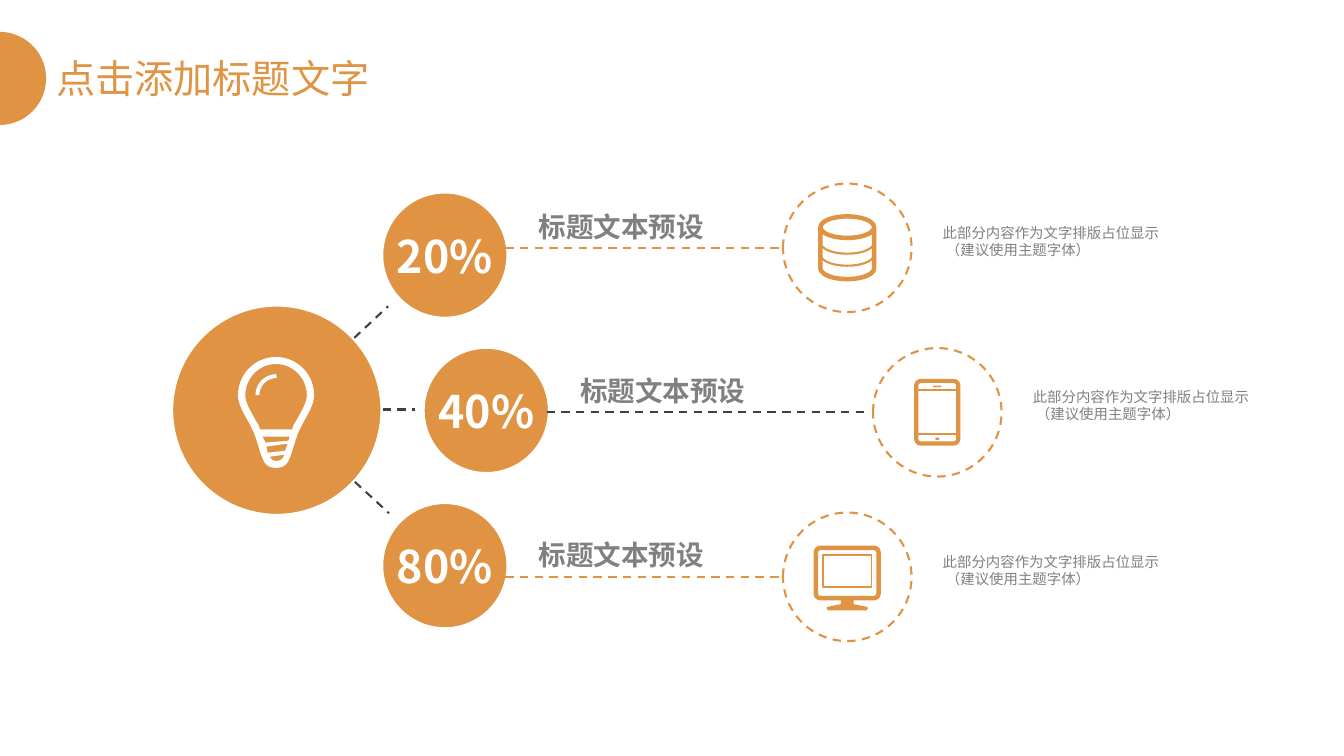
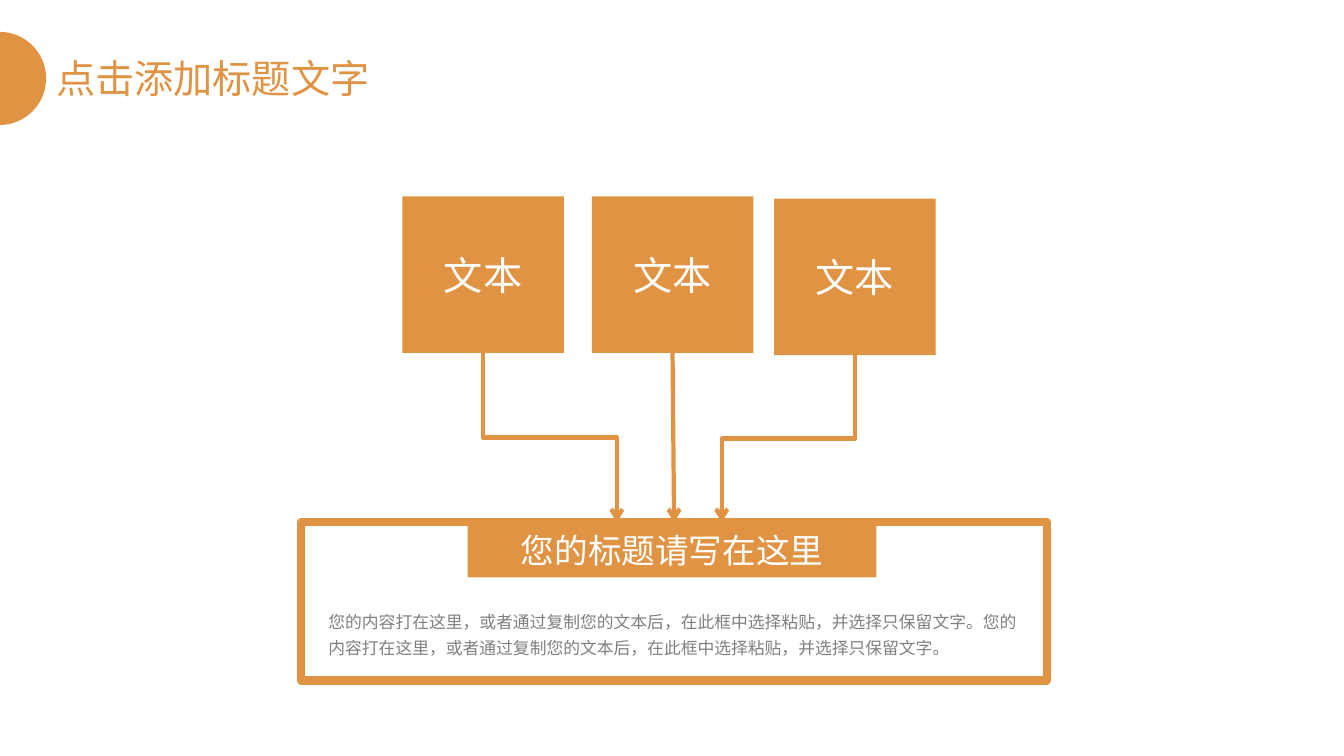
from pptx import Presentation
from pptx import util as u
from pptx.dml.color import RGBColor
from pptx.enum import dml, shapes, text
from pptx.oxml.ns import qn
from lxml import etree

FONT = "Noto Sans CJK SC"
COLORS = {"orange": "DF9343", "dark": "404040", "gray": "808080", "white": "FFFFFF"}
KIND = shapes.MSO_SHAPE
LINK = shapes.MSO_CONNECTOR
ALIGN = text.PP_ALIGN
ANCHOR = text.MSO_ANCHOR
DASH = dml.MSO_LINE.DASH


def rgb(name):
    return RGBColor.from_string(COLORS[name])


def paint(shape, fill=None, line=None, width=1.5, dash=None):
    shape.shadow.inherit = False
    if fill:
        shape.fill.solid()
        shape.fill.fore_color.rgb = rgb(fill)
    else:
        shape.fill.background()
    if line:
        stroke(shape.line, line, width, dash)
    else:
        shape.line.fill.background()


def stroke(line, color, width, dash=None):
    line.color.rgb = rgb(color)
    line.width = u.Pt(width)
    if dash:
        line.dash_style = dash


def draw(slide, kind, x, y, w, h, **style):
    shape = slide.shapes.add_shape(kind, u.Pt(x), u.Pt(y), u.Pt(w), u.Pt(h))
    paint(shape, **style)
    return shape


def write(shape, words, size, color, bold=False, align=ALIGN.LEFT,
          anchor=ANCHOR.TOP, inset=(7.2, 3.6, 7.2, 3.6), wrap=True, space=None):
    frame = shape.text_frame
    frame.text = words
    frame.auto_size = text.MSO_AUTO_SIZE.NONE
    frame.word_wrap = wrap
    frame.vertical_anchor = anchor
    (frame.margin_left, frame.margin_top,
     frame.margin_right, frame.margin_bottom) = map(u.Pt, inset)
    para = frame.paragraphs[0]
    para.alignment = align
    if space:
        para.line_spacing = space
    for run in para.runs:
        font = run.font
        font.size, font.bold, font.name = u.Pt(size), bold, FONT
        font.color.rgb = rgb(color)
        etree.SubElement(font._element, qn("a:ea"), typeface=FONT)


def label(slide, x, y, w, h, words, size, color, **style):
    box = slide.shapes.add_textbox(u.Pt(x), u.Pt(y), u.Pt(w), u.Pt(h))
    write(box, words, size, color, **style)


def join(slide, start, end, color, width=1.5, dash=None, arrow=False,
         kind=LINK.STRAIGHT):
    link = slide.shapes.add_connector(kind, *map(u.Pt, start + end))
    stroke(link.line, color, width, dash)
    props = link._element.spPr
    if arrow:
        etree.SubElement(props.find(qn("a:ln")), qn("a:tailEnd"), type="arrow")
    etree.SubElement(props, qn("a:effectLst"))
    return link


def drop(slide, start, end, color, width):
    """Elbow arrow that leaves and arrives vertically: a level elbow turned by 90 degrees."""
    (x1, y1), (x2, y2) = start, end
    mx, my = (x1 + x2) / 2, (y1 + y2) / 2
    dx, dy = (x2 - x1) / 2, (y2 - y1) / 2
    link = join(slide, (mx - dy, my + dx), (mx + dy, my - dx), color, width,
                arrow=True, kind=LINK.ELBOW)
    link._element.spPr.find(qn("a:xfrm")).set("rot", str(90 * 60000))


def bend(start, *curves, steps=12):
    """Points along cubic curves, each given as two controls and an end."""
    points = [start]
    for b, c, d in curves:
        a = points[-1]
        for i in range(1, steps + 1):
            t = i / steps
            s = 1 - t
            points.append(tuple(
                s**3 * p + 3 * s * s * t * q + 3 * s * t * t * r + t**3 * e
                for p, q, r, e in zip(a, b, c, d)))
    return points


def trace(slide, x, y, loops, closed=True, **style):
    """One freeform; loops inside another loop become holes."""
    loops = [[(u.Pt(x + px), u.Pt(y + py)) for px, py in loop] for loop in loops]
    pen = slide.shapes.build_freeform(*loops[0][0], scale=1.0)
    for i, loop in enumerate(loops):
        if i:
            pen.move_to(*loop[0])
        pen.add_line_segments(loop[1:], close=closed)
    paint(pen.convert_to_shape(), **style)


def mirror(half):
    return half + [(-x, y) for x, y in reversed(half)]


def bulb(slide, x, y):
    glass = mirror(bend(
        (0, 0), ((-15, 0), (-27.2, 12.2), (-27.2, 27.4)),
        ((-27.2, 36.7), (-17.6, 47.5), (-14.8, 57)),
        ((-9.7, 71.3), (-10, 79.2), (0, 79.2))))
    hollow = mirror(bend(
        (0, 5), ((-12.2, 5), (-22, 15), (-22, 27.4)),
        ((-22, 32.4), (-18.5, 38), (-15.3, 44)),
        ((-13.7, 47), (-11.8, 49), (-11.6, 51.8))))
    bands = [[(-9.7, 57), (9.7, 57), (9, 59.8), (-7.5, 61.2)],
             [(-6.8, 64), (8.3, 61.9), (6.5, 67), (-6, 68.4)]]
    tip = [(-4.5, 71.3)] + bend((6.1, 69.8), ((4.5, 73), (3.2, 74.2), (0, 74.2)),
                                ((-2.2, 74.2), (-3, 73.5), (-4.5, 71.3)))
    trace(slide, x, y, [glass, hollow, *bands, tip], fill="white")
    shine = bend((-13.3, 27.2), ((-13.3, 20), (-7.5, 13.7), (0.3, 13.7)))
    trace(slide, x, y, [shine], closed=False, line="white", width=2.8)


def disks(slide, x, y):
    """Stack of disks around a centre point."""
    can = draw(slide, KIND.CAN, x - 19.2, y - 22.4, 38.4, 44.8,
               line="orange", width=3.2)
    can.adjustments[0] = 0.4
    for level in (-2.5, 6.1):
        arc = bend((-19, level), ((-15, level + 9), (15, level + 9), (19, level)))
        trace(slide, x, y, [arc], closed=False, line="orange", width=1.5)


def phone(slide, x, y):
    case = draw(slide, KIND.ROUNDED_RECTANGLE, x - 15, y - 22.4, 30, 44.8,
                line="orange", width=3)
    case.adjustments[0] = 0.11
    for level in (-15.6, 15.8):
        join(slide, (x - 15, y + level), (x + 15, y + level), "orange")
    draw(slide, KIND.RECTANGLE, x - 2.9, y - 19, 5.8, 1, fill="orange")
    draw(slide, KIND.OVAL, x - 1.6, y + 18, 3.2, 1.8, fill="orange")


def screen(slide, x, y):
    case = draw(slide, KIND.ROUNDED_RECTANGLE, x - 22.4, y - 20.7, 44.8, 36,
                line="orange", width=3.2)
    case.adjustments[0] = 0.09
    draw(slide, KIND.RECTANGLE, x - 17.3, y - 15.4, 34.6, 23, line="orange", width=1.3)
    foot = mirror([(-4.6, 16.5), (-4.6, 19.5), (-14.2, 21.5), (-14.8, 22.6), (-13.6, 24)])
    trace(slide, x, y, [foot], fill="orange")


def start(deck):
    """New slide with the shared title and half disc."""
    slide = deck.slides.add_slide(deck.slide_layouts[5])
    draw(slide, KIND.OVAL, -33.6, 22.8, 66.5, 66.5, fill="orange")
    title = slide.shapes.title
    title.left, title.top, title.width, title.height = map(u.Pt, (33, 35.3, 259, 41))
    write(title, "点击添加标题文字", 28, "orange")
    return slide


def row(slide, i, percent, shift, reach, icon):
    """One percent circle with its caption, dashed line, icon ring and note."""
    size, ring = 89.5, 91.8
    left, top = 273 + shift, 137.5 + 110.9 * i
    mid = 177 + 117.5 * i
    tone = "dark" if shift else "orange"
    orb = draw(slide, KIND.OVAL, left, top, size, size, fill="orange", line="white")
    write(orb, percent, 32, "white", bold=True, align=ALIGN.CENTER,
          anchor=ANCHOR.MIDDLE, inset=(12.2,) * 4, wrap=False)
    edge = 559.3 + reach
    join(slide, (left + 87.8, mid), (edge - 2.7 - shift / 10, mid), tone, dash=DASH)
    draw(slide, KIND.OVAL, edge, mid - ring / 2, ring, ring, line="orange", dash=DASH)
    icon(slide, edge + ring / 2, mid)
    label(slide, left + size, 148.3 + 117 * i, 160, 27, "标题文本预设", 19.7, "gray",
          bold=True, anchor=ANCHOR.MIDDLE, inset=(22.3, 3.6, 7.2, 3.6))
    label(slide, edge + ring, mid - 22.2, 196.5, 44,
          "此部分内容作为文字排版占位显示\v （建议使用主题字体）", 10.3, "gray",
          inset=(22.3, 5, 9.4, 5))


def ideas(deck):
    slide = start(deck)
    for a, b in (((253, 241.4), (277.2, 218.8)), ((273.3, 292.5), (296.6, 292.5)),
                 ((253.5, 344.2), (277.9, 366.6))):
        join(slide, a, b, "dark", dash=DASH)
    draw(slide, KIND.OVAL, 123, 218.3, 149.5, 149.5, fill="orange", line="white")
    bulb(slide, 197.2, 255)
    rows = [("20%", 0, 0, disks), ("40%", 29.6, 64.3, phone), ("80%", 0, 0, screen)]
    for i, item in enumerate(rows):
        row(slide, i, *item)


def merge(deck):
    slide = start(deck)
    wide, high, goal = 115.4, 111.7, 373
    mid = {"align": ALIGN.CENTER, "anchor": ANCHOR.MIDDLE}
    draw(slide, KIND.RECTANGLE, 215, goal, 532.8, 113.2, line="orange", width=6)
    for x, y, end in ((287.4, 140.3, 440.6), (422.7, 140.3, 481.5), (553, 141.9, 515.5)):
        box = draw(slide, KIND.RECTANGLE, x, y, wide, high, fill="orange")
        write(box, "文本", 28, "white", **mid)
        foot = (x + wide / 2, y + high)
        if abs(end - foot[0]) < 5:
            join(slide, foot, (end, goal), "orange", 3, arrow=True)
        else:
            drop(slide, foot, (end, goal), "orange", 3)
    head = draw(slide, KIND.RECTANGLE, 334, goal, 292, 39.5, fill="orange")
    write(head, "您的标题请写在这里", 24, "white", **mid)
    label(slide, 227.5, 429, 509, 62.5,
          "您的内容打在这里，或者通过复制您的文本后，在此框中选择粘贴，并选择只保留文字。" * 2,
          12, "gray", space=1.3)


def main():
    deck = Presentation()
    deck.slide_width, deck.slide_height = u.Pt(960), u.Pt(540)
    ideas(deck)
    merge(deck)
    deck.save("out.pptx")


if __name__ == "__main__":
    main()
